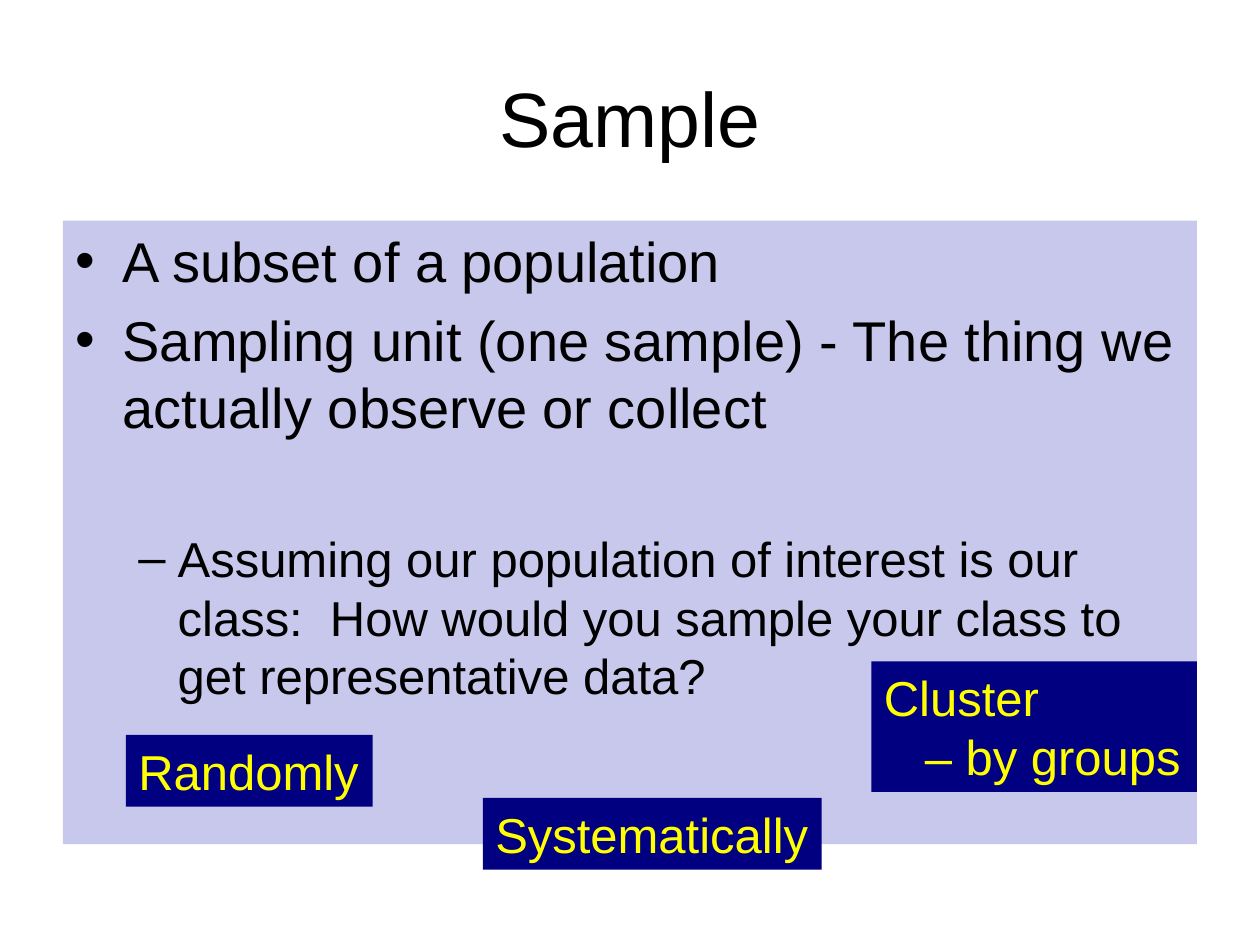
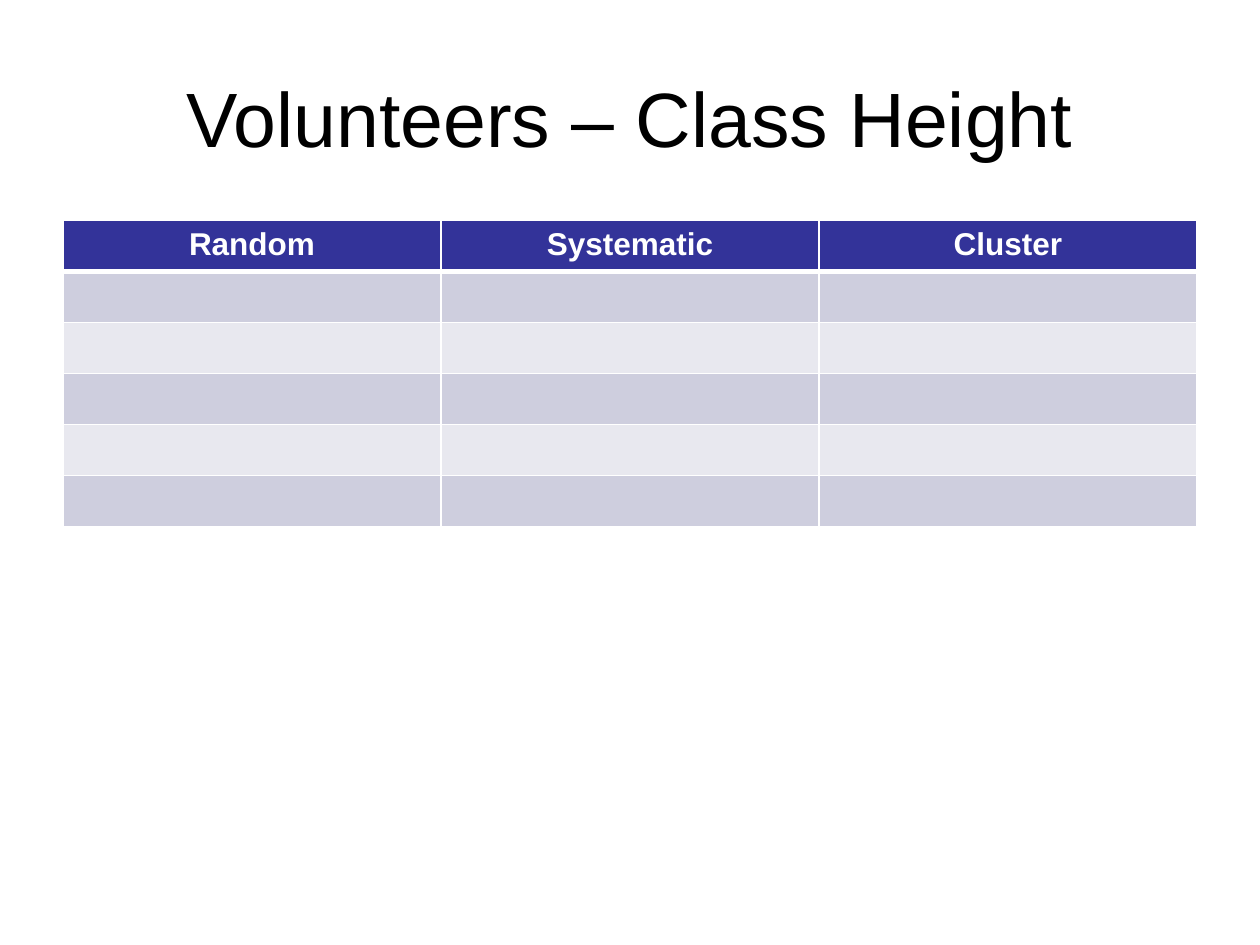
from pptx import Presentation
from pptx.dml.color import RGBColor
from pptx.enum.shapes import MSO_SHAPE as Shape
from pptx.enum.text import MSO_ANCHOR as Anchor, PP_ALIGN as Align
from pptx.oxml.ns import qn
from pptx.util import Pt
from lxml.etree import SubElement, Element

FONT = "Arial"
BLACK, WHITE, YELLOW = "000000", "FFFFFF", "FFFF00"
PANEL, NAVY = "9C9CDF", "000080"
HEADER, BAND_DARK, BAND_LIGHT = "333399", "CECEDE", "E8E8EF"

# Boxes are left, top, width, height in points
TITLE_BOX = (36, 21.6, 648, 90)
BODY_BOX = (36, 126, 648, 356.4)
TABLE_BOX = (36, 126, 648, 175)


def color(value):
    return RGBColor.from_string(value)


def paint(target, value):
    target.fill.solid()
    target.fill.fore_color.rgb = color(value)


def style(paragraph, size, value, align=Align.LEFT, bold=False):
    paragraph.alignment = align
    for run in paragraph.runs:
        run.font.name = FONT
        run.font.size = Pt(size)
        run.font.bold = bold
        run.font.color.rgb = color(value)


def indent(paragraph, left, first=0, bullet=None):
    properties = paragraph._p.get_or_add_pPr()
    properties.set("marL", str(Pt(left)))
    properties.set("indent", str(Pt(first)))
    if bullet:
        SubElement(properties, qn("a:buFont"), typeface=FONT)
        SubElement(properties, qn("a:buChar"), char=bullet)


def add_title(slide, text, box):
    text_frame = slide.shapes.add_textbox(*map(Pt, box)).text_frame
    text_frame.word_wrap = True
    text_frame.vertical_anchor = Anchor.MIDDLE
    text_frame.text = text
    style(text_frame.paragraphs[0], 44, BLACK, Align.CENTER)


def add_panel(slide, box, fill, lines, size, value, wrap=True):
    """Filled rectangle with left-aligned text; returns the shape."""
    shape = slide.shapes.add_shape(Shape.RECTANGLE, *map(Pt, box))
    shape.shadow.inherit = False
    shape.line.fill.background()
    paint(shape, fill)
    text_frame = shape.text_frame
    text_frame.word_wrap = wrap
    text_frame.vertical_anchor = Anchor.TOP
    text_frame.text = "\n".join(lines)
    for paragraph in text_frame.paragraphs:
        style(paragraph, size, value)
    return shape


def add_body(slide, box):
    # Half-transparent panel with two bullets and a question below a gap
    lines = [
        "A subset of a population",
        "Sampling unit (one sample) - The thing we actually observe or collect",
        "Assuming our population of interest is our class:  "
        "How would you sample your class to get representative data?",
    ]
    shape = add_panel(slide, box, PANEL, lines, 32, BLACK)
    fill_color = shape._element.spPr.find(qn("a:solidFill"))[0]
    SubElement(fill_color, qn("a:alpha"), val="55000")
    *points, question = shape.text_frame.paragraphs
    for point in points:
        point.space_before = Pt(6.4)
        indent(point, 27, -27, "•")
    question.level = 1
    question.space_before = Pt(50.7)
    style(question, 28, BLACK)
    indent(question, 58.5, -22.5, "–")

    # Sampling methods, placed from the panel's corner
    left, top = box[:2]
    methods = [
        (462, 252, 186, 74.5, ["Cluster", "– by groups"], True),
        (36, 294, 141, 41, ["Randomly"], False),
        (240, 330, 193.5, 41, ["Systematically"], False),
    ]
    for x, y, width, height, texts, wrap in methods:
        label = add_panel(slide, (left + x, top + y, width, height), NAVY,
                          texts, 28, YELLOW, wrap)
        for detail in label.text_frame.paragraphs[1:]:
            indent(detail, 23.4)


def set_borders(cell, widths):
    """Give a cell white edges; widths are left, right, top, bottom."""
    properties = cell._tc.get_or_add_tcPr()
    for position, (side, width) in enumerate(zip("LRTB", widths)):
        line = Element(qn(f"a:ln{side}"), w=str(Pt(width)))
        fill = SubElement(line, qn("a:solidFill"))
        SubElement(fill, qn("a:srgbClr"), val=WHITE)
        properties.insert(position, line)


def add_height_table(slide, box, headings, row_count):
    table = slide.shapes.add_table(row_count, len(headings),
                                   *map(Pt, box)).table
    for row_index, row in enumerate(table.rows):
        row.height = Pt(box[3] / row_count)
        band = BAND_DARK if row_index % 2 else BAND_LIGHT
        top = 3 if row_index == 1 else 1
        bottom = 3 if row_index == 0 else 1
        for cell in row.cells:
            paint(cell, band if row_index else HEADER)
            set_borders(cell, (1, 1, top, bottom))
    for cell, heading in zip(table.rows[0].cells, headings):
        cell.text_frame.text = heading
        style(cell.text_frame.paragraphs[0], 18, WHITE, Align.CENTER, True)


def add_slide(presentation, title):
    slide = presentation.slides.add_slide(presentation.slide_layouts[6])
    add_title(slide, title, TITLE_BOX)
    return slide


def main():
    presentation = Presentation()
    presentation.slide_width, presentation.slide_height = Pt(720), Pt(540)
    add_body(add_slide(presentation, "Sample"), BODY_BOX)
    add_height_table(add_slide(presentation, "Volunteers – Class Height"),
                     TABLE_BOX, ["Random", "Systematic", "Cluster"], 6)
    presentation.save("out.pptx")


if __name__ == "__main__":
    main()
